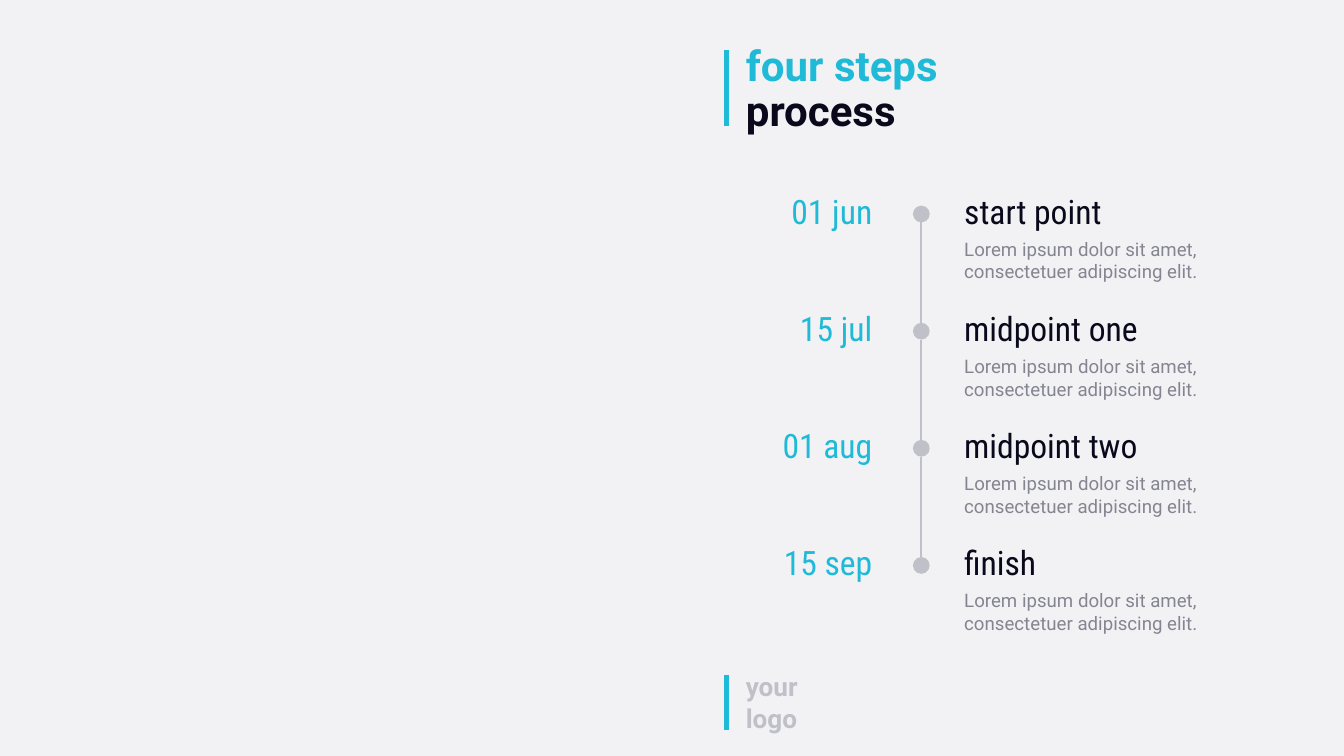
import pptx
import pptx.dml.color
import pptx.enum.shapes
import pptx.enum.text
import pptx.oxml.ns
import pptx.util
from lxml import etree

Inches = pptx.util.Inches
Pt = pptx.util.Pt
ALIGN = pptx.enum.text.PP_ALIGN
CYAN, NAVY, GREY, SILVER, PAPER = "1FBAD7", "0A091B", "858591", "C0C0C8", "F2F2F5"

TITLE = [("four steps", CYAN), ("process", NAVY)]
LOGO = "your logo"
BODY = "Lorem ipsum dolor sit amet, consectetuer adipiscing elit."
STEPS = [
    ("01 jun", "start point", BODY),
    ("15 jul", "midpoint one", BODY),
    ("01 aug", "midpoint two", BODY),
    ("15 sep", "finish", BODY),
]

BAR_X, AXIS_X, DATE_X, TEXT_X = 10.81, 13.71, 10.58, 14.25
FIRST_Y, PITCH, DOT = 3.06, 1.743, 0.25


def rgb(value):
    return pptx.dml.color.RGBColor.from_string(value)


def style(font, size, color, name="Roboto", bold=False):
    font.size, font.name, font.bold = Pt(size), name, bold
    font.color.rgb = rgb(color)


def add_line(shapes, x, top, bottom, color, width):
    line = shapes.add_connector(
        pptx.enum.shapes.MSO_CONNECTOR.STRAIGHT,
        Inches(x), Inches(top), Inches(x), Inches(bottom))
    line.line.color.rgb = rgb(color)
    line.line.width = Pt(width)
    etree.SubElement(line._element.spPr, pptx.oxml.ns.qn("a:effectLst"))


def add_text(shapes, text, box, size, color, name="Roboto", bold=False, align=ALIGN.LEFT):
    sp = shapes.add_textbox(*map(Inches, box))
    tf = sp.text_frame
    tf.word_wrap = True
    p = tf.paragraphs[0]
    p.alignment = align
    r = p.add_run()
    r.text = text
    style(r.font, size, color, name, bold)


def add_title(slide):
    sp = slide.shapes.title
    sp.left, sp.top, sp.width, sp.height = map(Inches, (11, 0.62, 5.96, 1.46))
    tf = sp.text_frame
    tf.word_wrap = True
    tf.auto_size = pptx.enum.text.MSO_AUTO_SIZE.NONE
    tf.vertical_anchor = pptx.enum.text.MSO_ANCHOR.TOP
    p = tf.paragraphs[0]
    p.alignment, p.line_spacing = ALIGN.LEFT, 0.9
    for i, (text, color) in enumerate(TITLE):
        if i:
            p.add_line_break()
        r = p.add_run()
        r.text = text
        style(r.font, 45, color, bold=True)


def add_step(slide, top, date, heading, body):
    shapes = slide.shapes.add_group_shape().shapes
    dot = shapes.add_shape(
        pptx.enum.shapes.MSO_SHAPE.OVAL,
        Inches(AXIS_X - DOT / 2), Inches(top), Inches(DOT), Inches(DOT))
    dot.shadow.inherit = False
    dot.fill.solid()
    dot.fill.fore_color.rgb = rgb(SILVER)
    dot.line.fill.background()
    condensed = "Roboto Condensed"
    add_text(shapes, heading, (TEXT_X, top - 0.27, 3.58, 0.71), 36, NAVY, condensed)
    add_text(shapes, body, (TEXT_X, top + 0.43, 4.25, 0.77), 20, GREY)
    add_text(shapes, date, (DATE_X, top - 0.27, 2.5, 0.71), 36, CYAN, condensed,
             align=ALIGN.RIGHT)


def main():
    """Build the four-step timeline slide."""
    prs = pptx.Presentation()
    prs.slide_width, prs.slide_height = Inches(20), Inches(11.25)
    slide = prs.slides.add_slide(prs.slide_layouts[5])
    slide.background.fill.solid()
    slide.background.fill.fore_color.rgb = rgb(PAPER)

    add_title(slide)
    add_line(slide.shapes, BAR_X, 0.75, 1.88, CYAN, 5)
    add_text(slide.shapes, LOGO, (11, 9.93, 1.19, 1.04), 28, SILVER, bold=True)
    add_line(slide.shapes, BAR_X, 10.05, 10.86, CYAN, 5)

    tops = [FIRST_Y + i * PITCH for i in range(len(STEPS))]
    for top, below in zip(tops, tops[1:]):
        add_line(slide.shapes, AXIS_X, top + DOT, below, SILVER, 2)
    for top, step in zip(tops, STEPS):
        add_step(slide, top, *step)

    prs.save("out.pptx")


if __name__ == "__main__":
    main()
